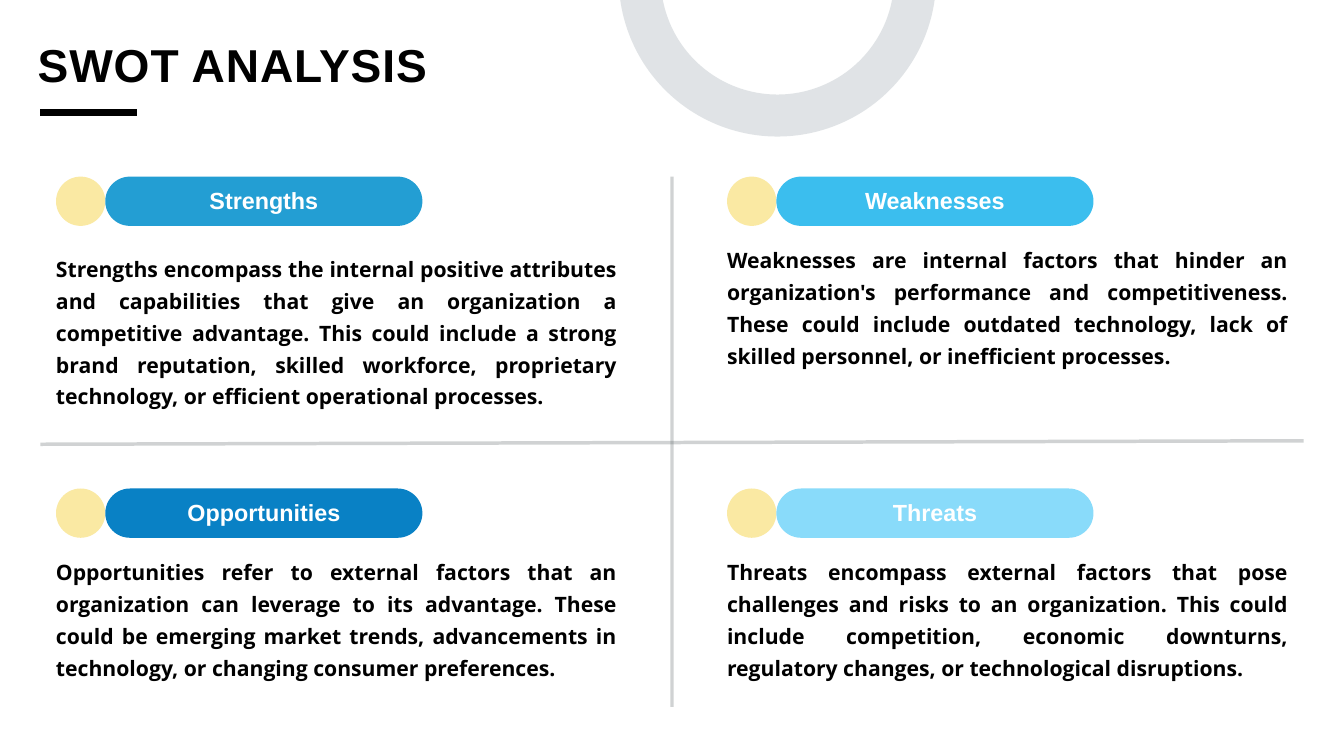
from lxml.etree import SubElement as Sub
from pptx import Presentation
from pptx.dml.color import RGBColor as Rgb
from pptx.enum.shapes import MSO_CONNECTOR as Conn, MSO_SHAPE as Shape
from pptx.enum.text import MSO_ANCHOR as Anchor, MSO_AUTO_SIZE as Fit, PP_ALIGN as Align
from pptx.oxml.ns import qn
from pptx.util import Pt

HUES = {
    "black": "000000", "white": "FFFFFF", "rule": "646D6E",
    "ring": "647582", "dot": "FAE9A3", "strong": "239ED3",
    "weak": "3BBEEE", "open": "0981C5", "threat": "89DBFA",
}
LEFTS = (60, 779)
TOPS = (189.2, 523.4)
DOT = 52.8
PILL = 339.8
PARTS = [
    (0, 0, "Strengths", "strong", 78.6, 167,
     "Strengths encompass the internal positive attributes and capabilities "
     "that give an organization a competitive advantage. This could include "
     "a strong brand reputation, skilled workforce, proprietary technology, "
     "or efficient operational processes."),
    (1, 0, "Weaknesses", "weak", 69.2, 133,
     "Weaknesses are internal factors that hinder an organization's "
     "performance and competitiveness. These could include outdated "
     "technology, lack of skilled personnel, or inefficient processes."),
    (0, 1, "Opportunities", "open", 69.2, 133,
     "Opportunities refer to external factors that an organization can "
     "leverage to its advantage. These could be emerging market trends, "
     "advancements in technology, or changing consumer preferences."),
    (1, 1, "Threats", "threat", 69.2, 133,
     "Threats encompass external factors that pose challenges and risks to "
     "an organization. This could include competition, economic downturns, "
     "regulatory changes, or technological disruptions."),
]


def paint(fill, hue):
    fill.solid()
    fill.fore_color.rgb = Rgb.from_string(HUES[hue])


def stroke(item, hue, width, alpha=100):
    item.line.width = Pt(width)
    paint(item.line.fill, hue)
    if alpha < 100:
        tone = item.line._get_or_add_ln().find(".//" + qn("a:srgbClr"))
        Sub(tone, qn("a:alpha"), val=str(alpha * 1000))


def rule(slide, ends, hue, width, alpha=100):
    line = slide.shapes.add_connector(Conn.STRAIGHT, *map(Pt, ends))
    stroke(line, hue, width, alpha)
    Sub(line._element.spPr, qn("a:effectLst"))


def solid(slide, kind, spot, hue):
    item = slide.shapes.add_shape(kind, *map(Pt, spot))
    item.shadow.inherit = False
    item.line.fill.background()
    paint(item.fill, hue)
    return item


def ring(slide, spot):
    item = slide.shapes.add_shape(Shape.OVAL, *map(Pt, spot))
    item.shadow.inherit = False
    item.fill.background()
    stroke(item, "ring", 45, 20)


def write(box, text, size, lead, font="Arial", hue="black",
          align=Align.LEFT, anchor=Anchor.TOP, gap=0):
    frame = box.text_frame
    frame.word_wrap = True
    frame.auto_size = Fit.NONE
    frame.vertical_anchor = anchor
    frame.margin_left = frame.margin_right = 0
    frame.margin_top = frame.margin_bottom = 0
    para = frame.paragraphs[0]
    para.alignment = align
    para.line_spacing = Pt(lead)
    para.space_before = Pt(0)
    run = para.add_run()
    run.text = text
    run.font.name = font
    run.font.size = Pt(size)
    run.font.bold = True
    run.font.color.rgb = Rgb.from_string(HUES[hue])
    if gap:
        run._r.get_or_add_rPr().set("spc", str(gap * 100))


def head(slide):
    title = slide.shapes.title
    title.left, title.top, title.width, title.height = map(Pt, (40.3, 28.8, 848, 67.7))
    write(title, "SWOT ANALYSIS", 49.4, 69.1, gap=1)
    rule(slide, (43.2, 120.2, 146.9, 120.2), "black", 7.5)


def part(slide, col, row, name, hue, drop, tall, text):
    left, top = LEFTS[col], TOPS[row]
    side = left + DOT
    solid(slide, Shape.OVAL, (left, top, DOT, DOT), "dot")
    pill = solid(slide, Shape.ROUNDED_RECTANGLE, (side, top, PILL, DOT), hue)
    pill.adjustments[0] = 0.5
    label = slide.shapes.add_textbox(*map(Pt, (side, top - 6.4, PILL, 58.5)))
    write(label, name, 25, 35, hue="white", align=Align.CENTER, anchor=Anchor.MIDDLE)
    body = slide.shapes.add_textbox(*map(Pt, (left, top + drop, 600.5, tall)))
    write(body, text, 22.7, 34.1, font="Open Sans", align=Align.JUSTIFY)


def main():
    deck = Presentation()
    deck.slide_width, deck.slide_height = Pt(1440), Pt(810)
    slide = deck.slides.add_slide(deck.slide_layouts[5])
    rule(slide, (43.2, 476, 1396.8, 472.3), "rule", 3.75, 30)
    rule(slide, (720, 189.2, 720, 757.4), "rule", 3.75, 30)
    head(slide)
    for item in PARTS:
        part(slide, *item)
    ring(slide, (685.4, -171.4, 295.2, 295.2))
    deck.save("out.pptx")


if __name__ == "__main__":
    main()
